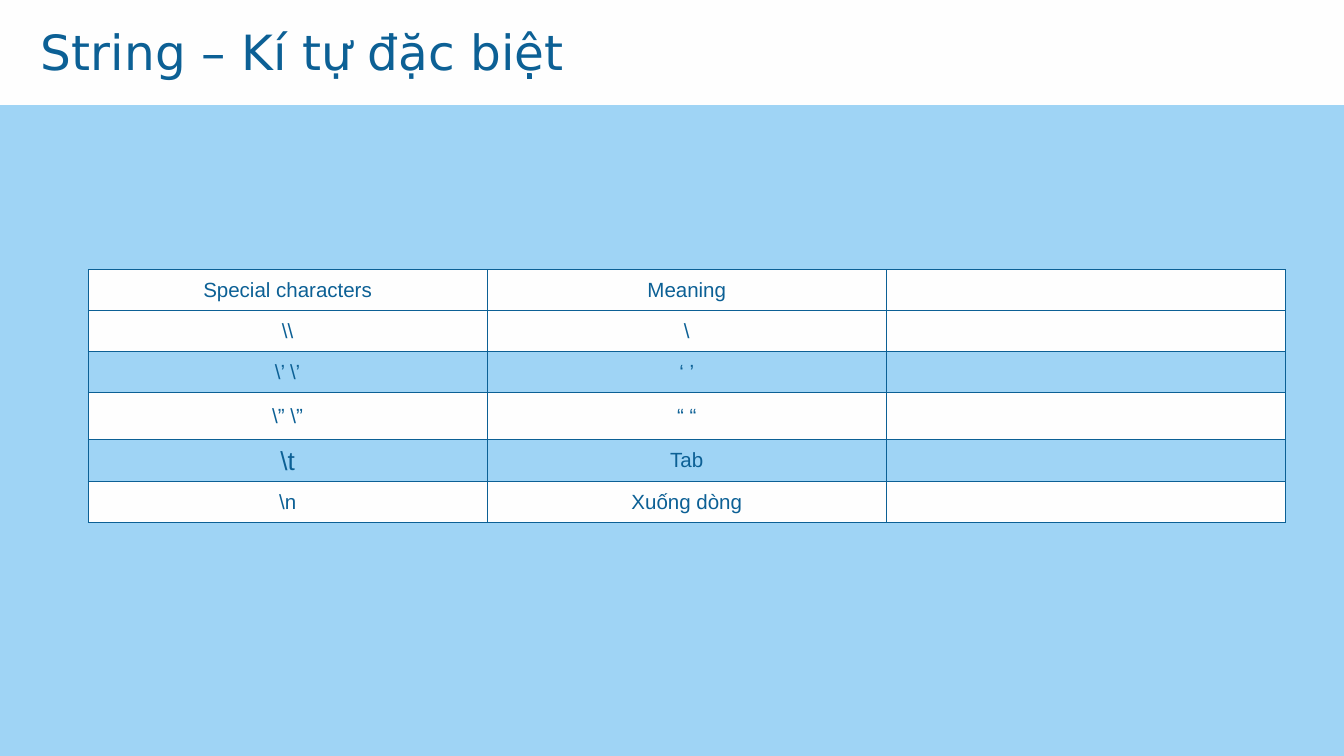
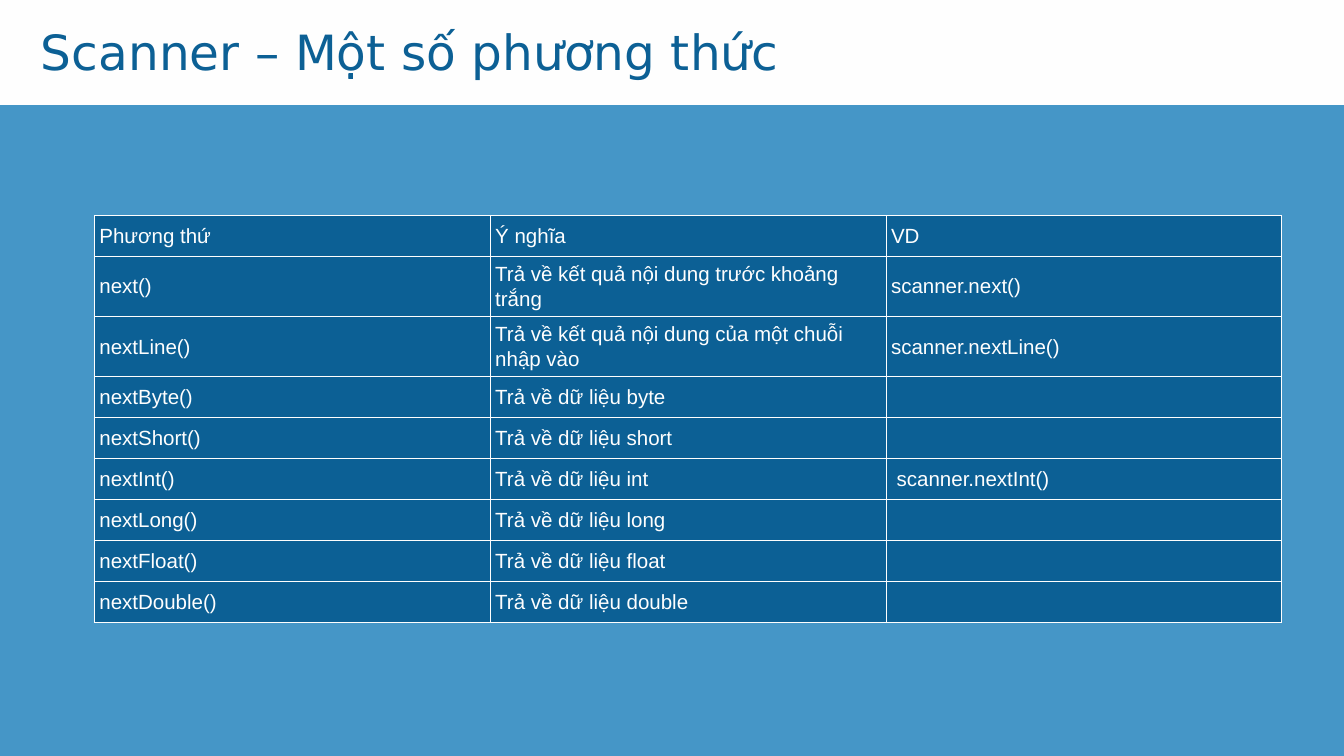
from dataclasses import dataclass, field
from typing import Any

from lxml.etree import SubElement
from pptx import Presentation
from pptx.dml.color import RGBColor
from pptx.enum.shapes import MSO_SHAPE
from pptx.enum.text import MSO_ANCHOR, MSO_AUTO_SIZE, PP_ALIGN
from pptx.oxml import parse_xml
from pptx.oxml.ns import nsdecls, qn
from pptx.util import Emu, Pt

EMU_PER_PX = 9144
SLIDE_W, SLIDE_H = 2000, 1125
BAND_H = 156
TITLE_BOX = (61, 32, 1884, 98)
ROW_H = 61
CELL_MARGIN = 8
BORDER_PT = 0.37
LINE_FACTOR = 1.2

WHITE = RGBColor(0xFE, 0xFE, 0xFE)
NAVY = RGBColor(0x0C, 0x60, 0x95)
SKY = RGBColor(0x9F, 0xD4, 0xF5)
BLUE = RGBColor(0x45, 0x96, 0xC7)

TITLE_FONT = {"name": "DejaVu Sans", "size": Pt(52)}
CELL_FONT = {"name": "Arial", "size": Pt(22)}
TITLE_FRAME = {
    "margin_left": 0, "margin_top": 0, "margin_right": 0, "margin_bottom": 0,
    "word_wrap": True, "vertical_anchor": MSO_ANCHOR.TOP,
    "auto_size": MSO_AUTO_SIZE.SHAPE_TO_FIT_TEXT,
}
TABLE_FLAGS = {"first_row": False, "horz_banding": False}


def px(n: int) -> Emu:
    return Emu(n * EMU_PER_PX)


CELL_FORMAT = {
    "margin_left": px(CELL_MARGIN), "margin_top": px(CELL_MARGIN),
    "margin_right": px(CELL_MARGIN), "margin_bottom": px(CELL_MARGIN),
    "vertical_anchor": MSO_ANCHOR.MIDDLE,
}


@dataclass
class Grid:
    left: int
    top: int
    col_w: int
    rows: list[tuple[str, str, str]]
    ink: RGBColor
    border: RGBColor
    fill: RGBColor
    align: PP_ALIGN = PP_ALIGN.LEFT
    row_heights: dict[int, int] = field(default_factory=dict)
    row_fills: dict[int, RGBColor] = field(default_factory=dict)
    cell_sizes: dict[tuple[int, int], int] = field(default_factory=dict)


@dataclass
class Page:
    title: str
    background: RGBColor
    grid: Grid


def apply(target: Any, values: dict[str, Any]) -> None:
    for name, value in values.items():
        setattr(target, name, value)


def write(p: Any, text: str, font: dict[str, Any], color: RGBColor) -> Any:
    r = p.add_run()
    r.text = text
    apply(r.font, font)
    r.font.color.rgb = color
    p.line_spacing = Pt(font["size"].pt * LINE_FACTOR)
    return r


def add_band(s: Any) -> None:
    sp = s.shapes.add_shape(MSO_SHAPE.RECTANGLE, 0, 0, px(SLIDE_W), px(BAND_H))
    sp.shadow.inherit = False
    sp.fill.solid()
    sp.fill.fore_color.rgb = WHITE
    sp.line.fill.background()
    s.shapes.title._element.addprevious(sp._element)


def add_title(s: Any, text: str) -> None:
    sp = s.shapes.title
    apply(sp, dict(zip(("left", "top", "width", "height"), map(px, TITLE_BOX))))
    tf = sp.text_frame
    apply(tf, TITLE_FRAME)
    p = tf.paragraphs[0]
    p.alignment = PP_ALIGN.LEFT
    r = write(p, text, TITLE_FONT, NAVY)
    r.font._element.set("spc", "10")


def add_borders(cell: Any, color: RGBColor) -> None:
    tc_pr = cell._tc.get_or_add_tcPr()
    for i, side in enumerate("LRTB"):
        ln = parse_xml(f'<a:ln{side} {nsdecls("a")} w="{Pt(BORDER_PT)}"/>')
        fill = SubElement(ln, qn("a:solidFill"))
        SubElement(fill, qn("a:srgbClr"), val=str(color))
        tc_pr.insert(i, ln)


def add_grid(s: Any, grid: Grid) -> None:
    heights = [grid.row_heights.get(i, ROW_H) for i in range(len(grid.rows))]
    n_cols = len(grid.rows[0])
    tbl = s.shapes.add_table(
        len(heights), n_cols, px(grid.left), px(grid.top),
        px(grid.col_w * n_cols), px(sum(heights)),
    ).table
    apply(tbl, TABLE_FLAGS)
    for col in tbl.columns:
        col.width = px(grid.col_w)
    for i, texts in enumerate(grid.rows):
        tbl.rows[i].height = px(heights[i])
        for j, text in enumerate(texts):
            cell = tbl.cell(i, j)
            apply(cell, CELL_FORMAT)
            cell.fill.solid()
            cell.fill.fore_color.rgb = grid.row_fills.get(i, grid.fill)
            add_borders(cell, grid.border)
            if text:
                p = cell.text_frame.paragraphs[0]
                p.alignment = grid.align
                size = Pt(grid.cell_sizes.get((i, j), 22))
                write(p, text, CELL_FONT | {"size": size}, grid.ink)


PAGES = [
    Page("String – Kí tự đặc biệt", SKY, Grid(
        131, 401, 594,
        [
            ("Special characters", "Meaning", ""),
            ("\\\\", "\\", ""),
            ("\\’ \\’", "‘ ’", ""),
            ("\\” \\”", "“ “", ""),
            ("\\t", "Tab", ""),
            ("\\n", "Xuống dòng", ""),
        ],
        ink=NAVY, border=NAVY, fill=WHITE, align=PP_ALIGN.CENTER,
        row_heights={3: 69}, row_fills={2: SKY, 4: SKY},
        cell_sizes={(4, 0): 28},
    )),
    Page("Scanner – Một số phương thức", BLUE, Grid(
        140, 320, 589,
        [
            ("Phương thứ", "Ý nghĩa", "VD"),
            ("next()", "Trả về kết quả nội dung trước khoảng trắng",
             "scanner.next()"),
            ("nextLine()", "Trả về kết quả nội dung của một chuỗi nhập vào",
             "scanner.nextLine()"),
            ("nextByte()", "Trả về dữ liệu byte", ""),
            ("nextShort()", "Trả về dữ liệu short", ""),
            ("nextInt()", "Trả về dữ liệu int", " scanner.nextInt()"),
            ("nextLong()", "Trả về dữ liệu long", ""),
            ("nextFloat()", "Trả về dữ liệu float", ""),
            ("nextDouble()", "Trả về dữ liệu double", ""),
        ],
        ink=WHITE, border=WHITE, fill=NAVY, row_heights={1: 86, 2: 86},
    )),
]


def main() -> None:
    prs = Presentation()
    apply(prs, {"slide_width": px(SLIDE_W), "slide_height": px(SLIDE_H)})
    for page in PAGES:
        s = prs.slides.add_slide(prs.slide_layouts[5])
        s.background.fill.solid()
        s.background.fill.fore_color.rgb = page.background
        add_band(s)
        add_title(s, page.title)
        add_grid(s, page.grid)
    prs.save("out.pptx")


if __name__ == "__main__":
    main()
